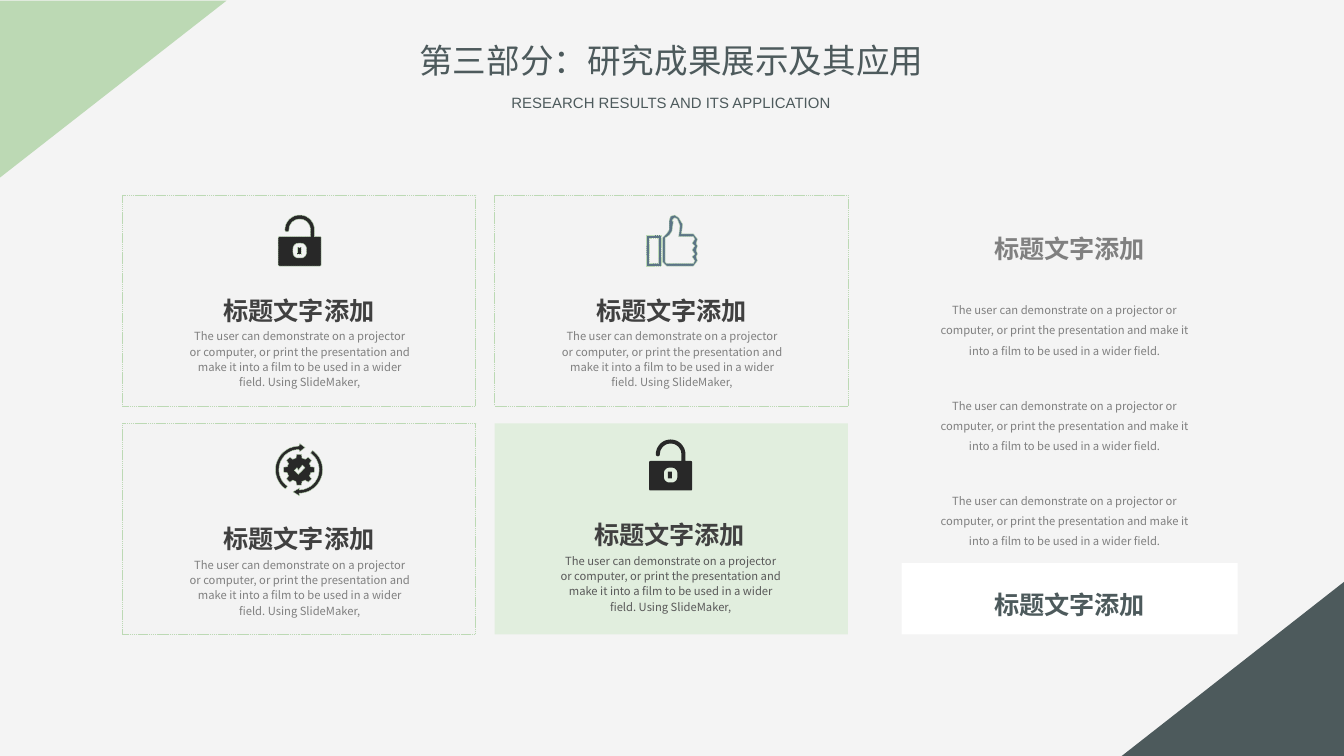
from math import cos, radians, sin

from lxml.etree import SubElement
from pptx import Presentation
from pptx.dml.color import RGBColor
from pptx.enum.dml import MSO_LINE
from pptx.enum.shapes import MSO_SHAPE
from pptx.enum.text import MSO_ANCHOR, PP_ALIGN
from pptx.oxml.ns import qn
from pptx.util import Inches, Pt

BACKGROUND = RGBColor(0xF4, 0xF4, 0xF4)
PANEL = RGBColor(0xF2, 0xF2, 0xF2)
GREEN = RGBColor(0xBC, 0xD9, 0xB4)
PALE_GREEN = RGBColor(0xE1, 0xEE, 0xDE)
SLATE = RGBColor(0x4D, 0x5A, 0x5C)
BLUE_GREY = RGBColor(0x5B, 0x74, 0x86)
BLACK = RGBColor(0x28, 0x28, 0x28)
DARK = RGBColor(0x40, 0x40, 0x40)
MID = RGBColor(0x59, 0x59, 0x59)
GREY = RGBColor(0x80, 0x80, 0x80)
WHITE = RGBColor(0xFF, 0xFF, 0xFF)

CJK = "Noto Sans CJK SC"
HEADING = "标题文字添加"
SENTENCE = ("The user can demonstrate on a projector or computer, or print the "
            "presentation and make it into a film to be used in a wider field.")
CARD_TEXT = SENTENCE + " Using SlideMaker,"


def write(holder, text, size, color, spacing=1.0, bold=False, font=CJK,
          wrap=True, anchor=MSO_ANCHOR.TOP):
    frame = holder.text_frame
    frame.text = text
    frame.word_wrap = wrap
    frame.vertical_anchor = anchor
    frame.margin_left = frame.margin_right = Inches(0.1)
    frame.margin_top = frame.margin_bottom = Inches(0.05)
    paragraph = frame.paragraphs[0]
    paragraph.alignment = PP_ALIGN.CENTER
    paragraph.line_spacing = spacing
    paragraph.font.size = Pt(size)
    paragraph.font.bold = bold
    paragraph.font.color.rgb = color
    paragraph.font.name = font
    defaults = paragraph._p.pPr.find(qn("a:defRPr"))
    SubElement(defaults, qn("a:ea")).set("typeface", font)


def arc(cx, cy, r, start, end, steps=24):
    angles = [radians(start + (end - start) * i / steps) for i in range(steps + 1)]
    return [(cx + r * cos(a), cy + r * sin(a)) for a in angles]


lock = [
    [(0.24, 0.16), *arc(0.16, 0.11, 0.08, 0, -180), *arc(0.065, 0.11, 0.015, 0, 180),
     *arc(0.16, 0.11, 0.11, -180, 0), (0.27, 0.16), *arc(0.31, 0.17, 0.01, -90, 0, 4),
     *arc(0.31, 0.37, 0.01, 0, 90, 4), *arc(0.01, 0.37, 0.01, 90, 180, 4),
     *arc(0.01, 0.17, 0.01, 180, 270, 4)],
    [*arc(0.17, 0.25, 0.04, -90, 0, 6), *arc(0.17, 0.28, 0.04, 0, 90, 6),
     *arc(0.15, 0.28, 0.04, 90, 180, 6), *arc(0.15, 0.25, 0.04, 180, 270, 6)],
    [(0.14, 0.24), (0.17, 0.24), (0.17, 0.29), (0.14, 0.29)],
]
thumb = [
    [(0, 0.15), (0.11, 0.15), (0.11, 0.38), (0, 0.38)],
    [(0.02, 0.17), (0.09, 0.17), (0.09, 0.36), (0.02, 0.36)],
    [(0.12, 0.17), (0.15, 0.14), (0.17, 0.11), (0.17, 0.04), (0.18, 0.01), (0.21, 0),
     (0.24, 0.02), (0.27, 0.07), (0.26, 0.14), (0.35, 0.14), (0.38, 0.18), (0.37, 0.21),
     (0.38, 0.23), (0.37, 0.26), (0.38, 0.29), (0.37, 0.31), (0.38, 0.34), (0.35, 0.38),
     (0.15, 0.38), (0.12, 0.35)],
    [(0.14, 0.17), (0.17, 0.15), (0.19, 0.12), (0.2, 0.05), (0.19, 0.04), (0.21, 0.02),
     (0.23, 0.03), (0.25, 0.08), (0.24, 0.16), (0.35, 0.16), (0.36, 0.18), (0.34, 0.21),
     (0.36, 0.23), (0.34, 0.26), (0.36, 0.29), (0.34, 0.31), (0.36, 0.34), (0.35, 0.36),
     (0.15, 0.36), (0.14, 0.35)],
]
teeth = []
for tooth in range(8):
    teeth += arc(0.175, 0.195, 0.115, tooth * 45 - 9, tooth * 45 + 9, 2)
    teeth += arc(0.175, 0.195, 0.09, tooth * 45 + 14, tooth * 45 + 31, 2)
gear = [
    teeth,
    [(0.2, 0.16), (0.17, 0.2), (0.16, 0.18), (0.14, 0.2), (0.17, 0.23), (0.22, 0.18)],
    [*arc(0.175, 0.195, 0.175, -55, 90), (0.18, 0.39), (0.13, 0.36), (0.18, 0.33),
     *arc(0.175, 0.195, 0.15, 90, -55)],
    [*arc(0.175, 0.195, 0.175, 125, 270), (0.18, 0), (0.22, 0.03), (0.18, 0.06),
     *arc(0.175, 0.195, 0.15, 270, 125)],
]

deck = Presentation()
deck.slide_width = Inches(10)
deck.slide_height = deck.slide_width * 9 // 16
slide = deck.slides.add_slide(deck.slide_layouts[5])
slide.background.fill.solid()
slide.background.fill.fore_color.rgb = BACKGROUND
shapes = slide.shapes

for left, top, width, height, turn, color in [
    (0.18, -0.18, 1.32, 1.69, 90, GREEN),
    (8.52, 4.15, 1.3, 1.66, 270, SLATE),
]:
    corner = shapes.add_shape(MSO_SHAPE.RIGHT_TRIANGLE, Inches(left), Inches(top),
                              Inches(width), Inches(height))
    corner.rotation = turn
    corner.shadow.inherit = False
    corner.fill.solid()
    corner.fill.fore_color.rgb = color
    corner.line.fill.background()

title = shapes.title
title.left, title.top = Inches(3.0), Inches(0.25)
title.width, title.height = Inches(3.99), Inches(0.4)
write(title, "第三部分：研究成果展示及其应用", 18, SLATE, wrap=False,
      anchor=MSO_ANCHOR.MIDDLE)
subtitle = shapes.add_textbox(Inches(3.68), Inches(0.65), Inches(2.63), Inches(0.24))
write(subtitle, "RESEARCH RESULTS AND ITS APPLICATION", 8, SLATE, font="Arial", wrap=False)

for column, row, icon, icon_left, icon_color, lift, highlighted in [
    (0, 0, lock, 1.16, BLACK, 0, False),
    (1, 0, thumb, 1.13, BLUE_GREY, 0, False),
    (0, 1, gear, 1.14, BLACK, 0, False),
    (1, 1, lock, 1.16, BLACK, 0.03, True),
]:
    x, y = 0.91 + 2.77 * column, 1.45 + 1.7 * row
    card = shapes.add_shape(MSO_SHAPE.RECTANGLE, Inches(x), Inches(y),
                            Inches(2.63), Inches(1.57))
    x, y = x - lift / 3, y - lift
    pictogram = None
    for outline in icon:
        points = [(px * 1000, py * 1000) for px, py in outline]
        if pictogram is None:
            pictogram = shapes.build_freeform(*points[0], scale=914.4)
        else:
            pictogram.move_to(*points[0])
        pictogram.add_line_segments(points[1:], close=True)
    drawing = pictogram.convert_to_shape(Inches(x + icon_left), Inches(y + 0.15))
    for part, color in [(card, PALE_GREEN if highlighted else PANEL), (drawing, icon_color)]:
        part.shadow.inherit = False
        part.fill.solid()
        part.fill.fore_color.rgb = color
        if highlighted:
            part.line.fill.background()
        else:
            part.line.color.rgb = GREEN
            part.line.width = Pt(0.25)
            part.line.dash_style = MSO_LINE.SQUARE_DOT
    if not highlighted:
        tint = card._element.spPr.find(qn("a:solidFill"))[0]
        SubElement(tint, qn("a:alpha")).set("val", "40000")
    heading = shapes.add_textbox(Inches(x + 0.29), Inches(y + 0.65), Inches(2.05), Inches(0.36))
    write(heading, HEADING, 13.5, DARK, 1.2, bold=True)
    body = shapes.add_textbox(Inches(x + 0.39), Inches(y + 0.94), Inches(1.86), Inches(0.55))
    write(body, CARD_TEXT, 6, MID if highlighted else GREY, 1.14)

side_heading = shapes.add_textbox(Inches(7.03), Inches(1.64), Inches(1.86), Inches(0.36))
write(side_heading, HEADING, 13.5, GREY, 1.2, bold=True)
for row in range(3):
    note = shapes.add_textbox(Inches(6.83), Inches(2.16 + 0.71 * row), Inches(2.18), Inches(0.54))
    write(note, SENTENCE, 6, GREY, 1.5)

for left, top, width, height, text in [
    (6.71, 4.19, 2.5, 0.53, ""),
    (7.03, 4.29, 1.86, 0.36, HEADING),
]:
    banner = shapes.add_shape(MSO_SHAPE.RECTANGLE, Inches(left), Inches(top),
                              Inches(width), Inches(height))
    banner.shadow.inherit = False
    banner.fill.solid()
    banner.fill.fore_color.rgb = WHITE
    banner.line.fill.background()
    if text:
        write(banner, text, 13.5, SLATE, 1.2, bold=True)

deck.save("out.pptx")
